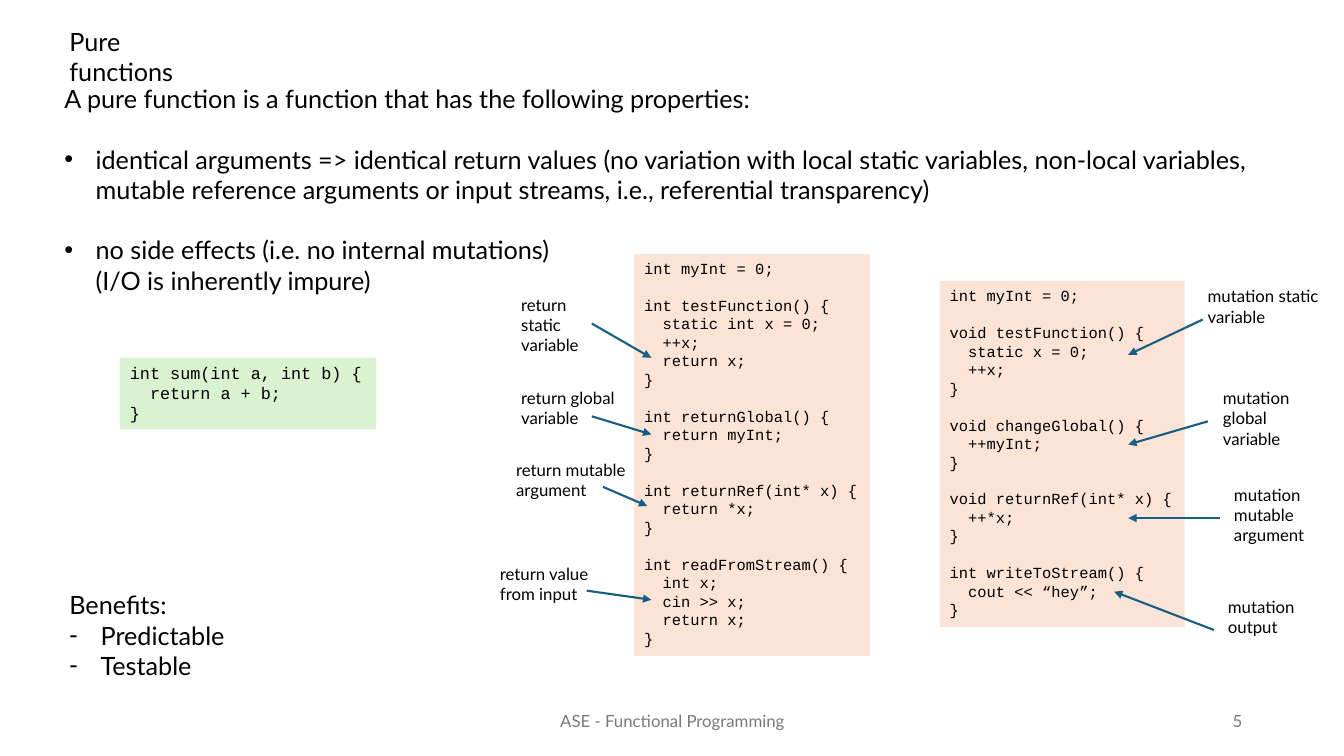
from lxml import etree
from pptx import Presentation
from pptx.dml.color import RGBColor
from pptx.enum.shapes import MSO_CONNECTOR, MSO_SHAPE
from pptx.enum.text import MSO_ANCHOR, PP_ALIGN
from pptx.oxml.ns import qn
from pptx.util import Inches, Pt

RECT, LINE = MSO_SHAPE.RECTANGLE, MSO_CONNECTOR.STRAIGHT
TOP, MIDDLE = MSO_ANCHOR.TOP, MSO_ANCHOR.MIDDLE
LEFT, CENTER, RIGHT = PP_ALIGN.LEFT, PP_ALIGN.CENTER, PP_ALIGN.RIGHT
COLORS = {"ink": "000000", "mute": "797979", "good": "D9F2D0",
          "bad": "FBE3D6", "arrow": "156082"}
SANS, MONO = "Lato", "Courier New"
INDENT = Inches(0.31)

# Code and labels; a label is (text, box, arrow start, arrow end),
# in grid units from the corner of its code panel
SUM = """int sum(int a, int b) {
  return a + b;
}"""
RETURNS = """int myInt = 0;

int testFunction() {
  static int x = 0;
  ++x;
  return x;
}

int returnGlobal() {
  return myInt;
}

int returnRef(int* x) {
  return *x;
}

int readFromStream() {
  int x;
  cin >> x;
  return x;
}"""
CHANGES = """int myInt = 0;

void testFunction() {
  static x = 0;
  ++x;
}

void changeGlobal() {
  ++myInt;
}

void returnRef(int* x) {
  ++*x;
}

int writeToStream() {
  cout << “hey”;
}"""
RETURN_NOTES = [
    ("return static\nvariable", (-12.2, 3.5, 10.8, 5), (-4.2, 6.9), (1.7, 10.3)),
    ("return global\nvariable", (-12.2, 12.8, 11.3, 5), (-4.2, 16.1), (1.7, 17.9)),
    ("return mutable\nargument", (-12.7, 19.9, 13.2, 5), (-3.1, 23.1), (1.3, 25)),
    ("return value\nfrom input", (-14.3, 30.2, 12.9, 5), (-4.7, 33.4), (1.7, 34.3)),
]
CHANGE_NOTES = [
    ("mutation static\nvariable", (25.6, 0, 13.3, 5), (26.1, 3.8), (18.7, 7.3)),
    ("mutation global\nvariable", (27.1, 10.1, 9.1, 7.1), (26.6, 13.9), (18.7, 16.2)),
    ("mutation mutable\nargument", (28.2, 19.7, 9.1, 7.1), (27.8, 23.5), (18.7, 23.5)),
    ("mutation output", (27.6, 30.8, 9.1, 5), (27.2, 34.6), (17.3, 30.8)),
]


def grid(*cells):
    """Turn grid units, a tenth of an inch each, into lengths."""
    return [Inches(cell / 10) for cell in cells]


def color(name):
    return RGBColor.from_string(COLORS[name])


def write(frame, lines, size, font=SANS, ink="ink", align=LEFT, anchor=TOP):
    """Fill a frame; an empty line becomes space before the next one."""
    frame.word_wrap = True
    frame.vertical_anchor = anchor
    gap, first = 0, True
    for line in lines:
        if not line:
            gap = size * 1.2
            continue
        para = frame.paragraphs[0] if first else frame.add_paragraph()
        para.text = line
        para.alignment = align
        para.space_before = Pt(gap)
        for run in para.runs:
            run.font.size = Pt(size)
            run.font.name = font
            run.font.color.rgb = color(ink)
        gap, first = 0, False


def label(slide, box, lines, size, **style):
    frame = slide.shapes.add_textbox(*grid(*box)).text_frame
    write(frame, lines, size, **style)
    return frame


def bullet(paras, mark):
    for para in paras:
        props = para._p.get_or_add_pPr()
        props.set("marL", str(INDENT))
        props.set("indent", str(-INDENT))
        etree.SubElement(props, qn("a:buFont")).set("typeface", "Arial")
        etree.SubElement(props, qn("a:buChar")).set("char", mark)


def arrow(slide, start, end):
    link = slide.shapes.add_connector(LINE, *grid(*start, *end))
    link.line.color.rgb = color("arrow")
    link.line.width = Pt(1.5)
    tip = etree.SubElement(link.line._get_or_add_ln(), qn("a:tailEnd"))
    tip.set("type", "triangle")
    etree.SubElement(link._element.spPr, qn("a:effectLst"))


def panel(slide, box, code, size, fill, notes=()):
    """Code on a tinted block, with labels and arrows around it."""
    block = slide.shapes.add_shape(RECT, *grid(*box))
    block.shadow.inherit = False
    block.fill.solid()
    block.fill.fore_color.rgb = color(fill)
    block.line.fill.background()
    write(block.text_frame, code.split("\n"), size, font=MONO)
    left, top = box[:2]
    for text, (x, y, wide, high), start, end in notes:
        label(slide, (left + x, top + y, wide, high), [text], 12)
        arrow(slide, (left + start[0], top + start[1]),
              (left + end[0], top + end[1]))


def points(slide, box, lines, mark):
    """A lead line followed by bullets."""
    frame = label(slide, box, lines, 18)
    bullet(frame.paragraphs[1:], mark)


def footer(slide, top):
    style = {"ink": "mute", "anchor": MIDDLE}
    label(slide, (44.2, top, 45, 4), ["ASE - Functional Programming"], 12,
          align=CENTER, **style)
    label(slide, (94.2, top, 30, 4), ["5"], 12, align=RIGHT, **style)


def main():
    deck = Presentation()
    deck.slide_width, deck.slide_height = Inches(13.33), Inches(7.5)
    slide = deck.slides.add_slide(deck.slide_layouts[6])

    footer(slide, 69.5)
    # Title and definition
    label(slide, (5.9, 2.1, 17.7, 4), ["Pure functions"], 18)
    points(slide, (5.4, 7.8, 120, 22.2), [
        "A pure function is a function that has the following properties:",
        "",
        "identical arguments => identical return values (no variation with "
        "local static variables, non-local variables,\nmutable reference "
        "arguments or input streams, i.e., referential transparency)",
        "",
        "no side effects (i.e. no internal mutations)\n"
        "(I/O is inherently impure)"], "•")
    # Code examples
    panel(slide, (11.9, 35.5, 25.4, 7.1), SUM, 12, "good")
    panel(slide, (62.9, 25.2, 23.4, 39.9), RETURNS, 11, "bad", RETURN_NOTES)
    panel(slide, (93.2, 27.9, 24.3, 34.3), CHANGES, 11, "bad", CHANGE_NOTES)
    # Benefits
    points(slide, (5.9, 58, 17.7, 10.1),
           ["Benefits:", "Predictable", "Testable"], "-")

    deck.save("out.pptx")


if __name__ == "__main__":
    main()
